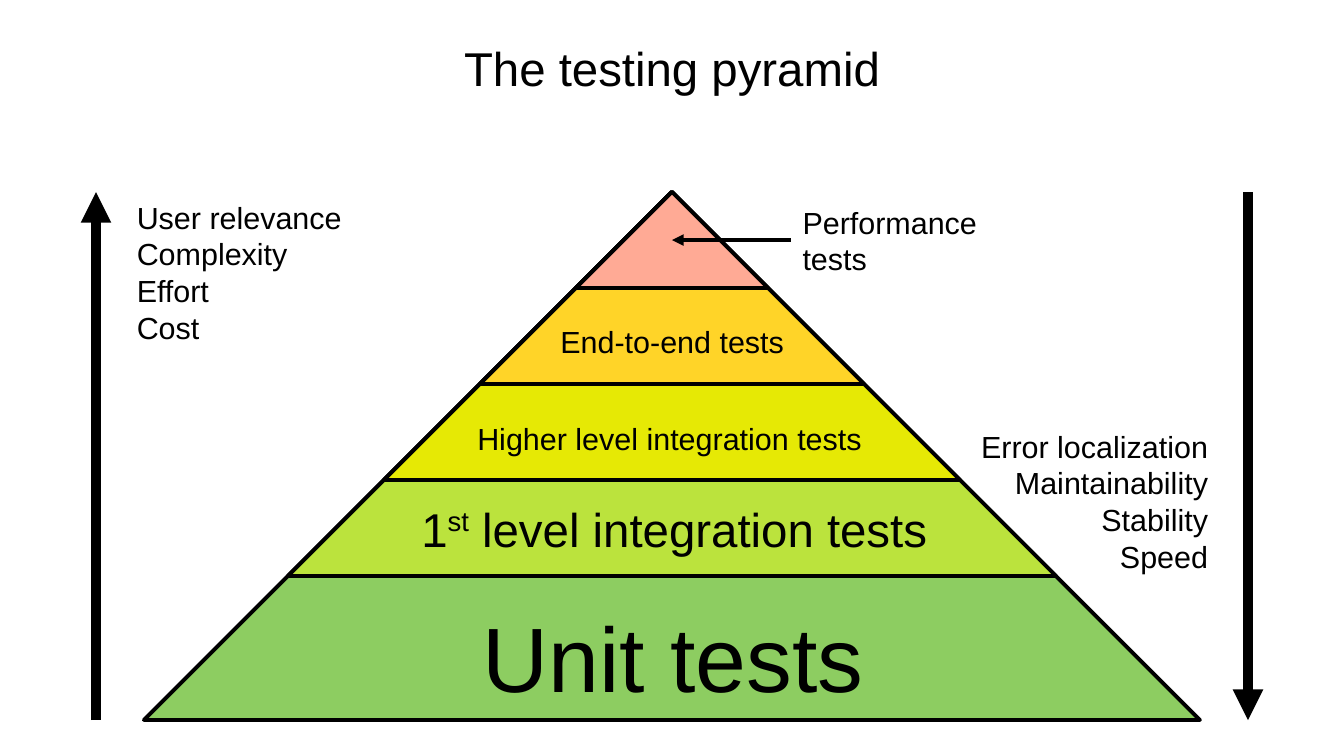
from lxml import etree
from pptx import Presentation
from pptx import util as u
from pptx.dml.color import RGBColor
from pptx.enum import shapes, text
from pptx.oxml.ns import qn

colors = {
    "ink": "000000",
    "unit": "5EB91E",
    "first_level": "BBE33D",
    "higher_level": "E6E905",
    "end_to_end": "FFD428",
    "performance": "FFAA95",
}

prs = Presentation()
prs.slide_width, prs.slide_height = u.Cm(28), u.Cm(15.75)
s = prs.slides.add_slide(prs.slide_layouts[6])


def add_text(box, paragraphs, size, align, wrap=False):
    tb = s.shapes.add_textbox(*[u.Cm(v) for v in box])
    tf = tb.text_frame
    tf.word_wrap = wrap
    tf.auto_size = text.MSO_AUTO_SIZE.SHAPE_TO_FIT_TEXT
    for i, runs in enumerate(paragraphs):
        p = tf.paragraphs[0] if i == 0 else tf.add_paragraph()
        p.alignment = align
        for content, baseline in runs:
            r = p.add_run()
            r.text = content
            r.font.name = "Arial"
            r.font.size = u.Pt(size)
            r.font.color.rgb = RGBColor.from_string(colors["ink"])
            if baseline:
                r._r.get_or_add_rPr().set("baseline", str(baseline))
    return tf


def add_arrow(x1, y1, x2, y2, width):
    c = s.shapes.add_connector(shapes.MSO_CONNECTOR.STRAIGHT, *[u.Cm(v) for v in (x1, y1, x2, y2)])
    c.line.width = u.Pt(width)
    c.line.color.rgb = RGBColor.from_string(colors["ink"])
    etree.SubElement(c.line._get_or_add_ln(), qn("a:tailEnd"), type="triangle")
    etree.SubElement(c._element.spPr, qn("a:effectLst"))


center, apex = 14, 4
levels = [("unit", 11), ("first_level", 8), ("higher_level", 6), ("end_to_end", 4), ("performance", 2)]
for level, height in levels:
    sp = s.shapes.add_shape(
        shapes.MSO_SHAPE.ISOSCELES_TRIANGLE,
        u.Cm(center - height), u.Cm(apex), u.Cm(2 * height), u.Cm(height))
    sp.shadow.inherit = False
    sp.fill.solid()
    sp.fill.fore_color.rgb = RGBColor.from_string(colors[level])
    sp.line.width = u.Pt(2.3)
    sp.line.color.rgb = RGBColor.from_string(colors["ink"])
    etree.SubElement(sp.line._get_or_add_ln(), qn("a:round"))
    if level == "unit":
        fill_color = sp._element.spPr.find(qn("a:solidFill"))[0]
        etree.SubElement(fill_color, qn("a:alpha"), val="70000")

left, middle, right = text.PP_ALIGN.LEFT, text.PP_ALIGN.CENTER, text.PP_ALIGN.RIGHT
title = add_text((1.4, 0.63, 25.2, 1.57), [[("The testing pyramid", 0)]], 28, middle, True)
title.vertical_anchor = text.MSO_ANCHOR.MIDDLE
title.margin_left = title.margin_right = title.margin_top = title.margin_bottom = 0

add_text((9.63, 12.4, 8.79, 2.39), [[("Unit tests", 0)]], 54, middle, True)
add_text((8.51, 10.29, 11.07, 1.35),
         [[("1", 0), ("st", 33000), (" level integration tests", 0)]], 28, middle)

labels = [
    ((9.45, 8.63, 9, 0.97), ["Higher level integration tests"], middle),
    ((11.3, 6.6, 5.41, 0.99), ["End-to-end tests"], middle),
    ((2.6, 4.02, 4.78, 3.1), ["User relevance", "Complexity", "Effort", "Cost"], left),
    ((20.19, 8.79, 5.23, 3.1), ["Error localization", "Maintainability", "Stability", "Speed"], right),
    ((16.47, 4.12, 4.14, 1.68), ["Performance", "tests"], left),
]
for box, lines, align in labels:
    add_text(box, [[(line, 0)] for line in lines], 18, align)

add_arrow(2, 15, 2, 4, 6)
add_arrow(26, 4, 26, 15, 6)
add_arrow(16.47, 5, center, 5, 2.3)

prs.save("out.pptx")
